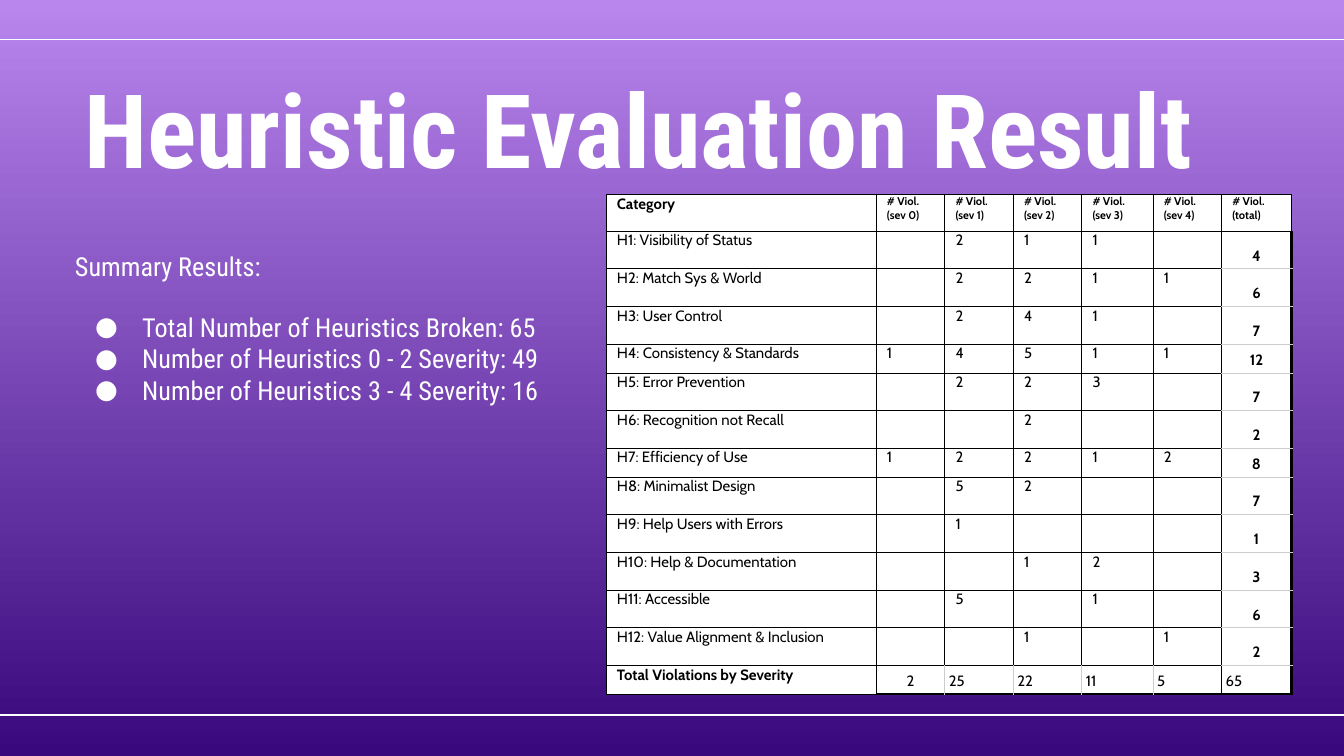
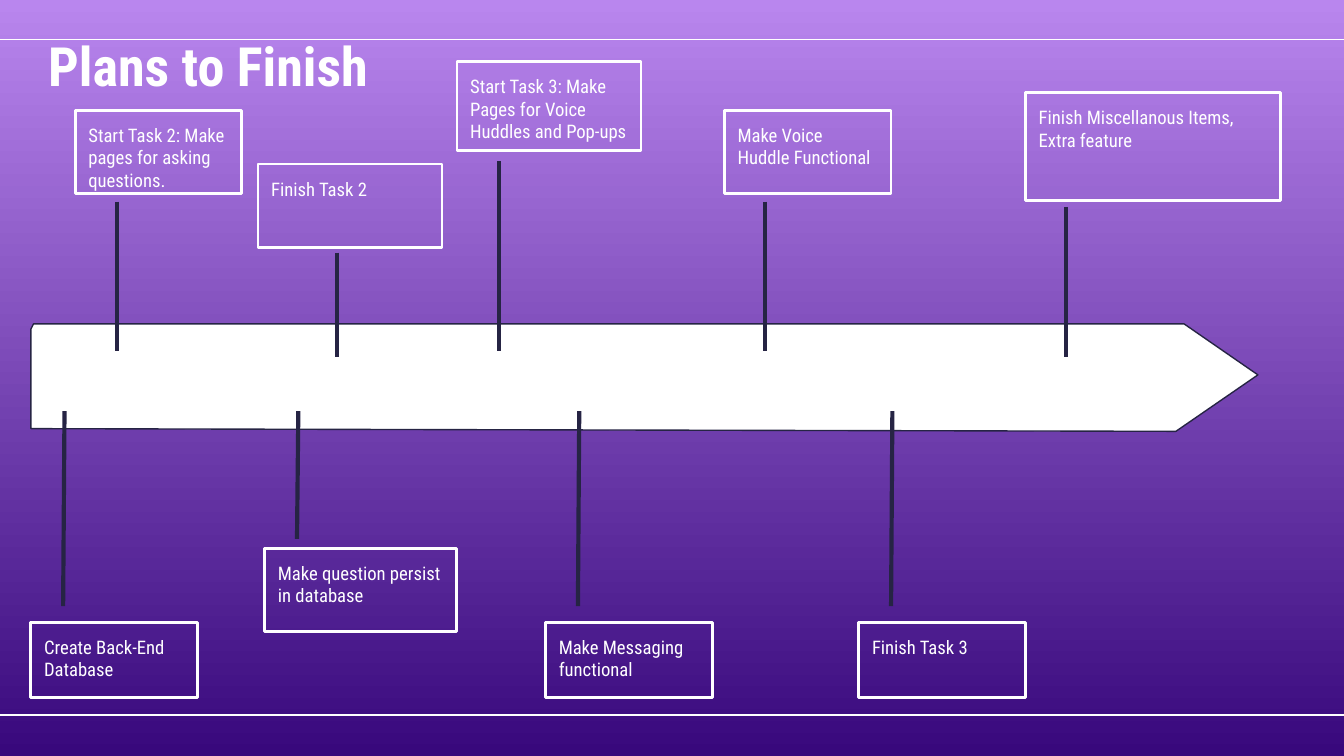
from dataclasses import dataclass

from lxml import etree
from pptx import Presentation
from pptx.dml.color import RGBColor
from pptx.enum.shapes import MSO_CONNECTOR, MSO_SHAPE
from pptx.enum.text import MSO_ANCHOR, PP_ALIGN
from pptx.oxml.ns import qn
from pptx.util import Emu, Inches, Pt

STRAIGHT = MSO_CONNECTOR.STRAIGHT
RECTANGLE = MSO_SHAPE.RECTANGLE
TOP, BOTTOM = MSO_ANCHOR.TOP, MSO_ANCHOR.BOTTOM
LEFT, CENTER = PP_ALIGN.LEFT, PP_ALIGN.CENTER

COLUMNS, ROWS = 100, 56.25
CELL = Inches(0.1)


@dataclass(frozen=True)
class Theme:
    sky: str = "B986EE"
    night: str = "38087C"
    white: str = "FFFFFF"
    black: str = "000000"
    grey: str = "CCCCCC"
    ink: str = "262444"
    display: str = "Roboto Condensed"
    tabular: str = "Cabin"
    headline: int = 55
    heading: int = 29
    body: int = 14
    label: int = 10
    cell: int = 8
    small: int = 6
    hairline: float = 0.5
    rule: float = 0.75
    thick: float = 1.5
    stem: float = 2.25


THEME = Theme()


@dataclass(frozen=True)
class Box:
    left: float
    top: float
    width: float
    height: float

    def inner(self, left, top, width, height):
        return Box(self.left + left, self.top + top, width, height)

    def point(self, across, down):
        return units(self.left + across), units(self.top + down)

    def frame(self):
        return [units(side) for side in (self.left, self.top, self.width, self.height)]


@dataclass(frozen=True)
class Milestone:
    text: str
    left: float
    top: float
    width: float
    height: float
    stem: float
    gap: float
    tip: float


PAGE = Box(0, 0, COLUMNS, ROWS)

SUMMARY = [
    "Total Number of Heuristics Broken: 65",
    "Number of Heuristics 0 - 2 Severity: 49",
    "Number of Heuristics 3 - 4 Severity: 16",
]

COLUMN_WIDTHS = [20.1, 5.1, 5.1, 5.1, 5.3, 5.1, 5.2]
HEADER_HEIGHT, TALL_ROW, SHORT_ROW = 2.7, 2.81, 2.12
HEADERS = ["Category"] + [f"# Viol.\n(sev {level})" for level in range(5)] + ["# Viol. (total)"]
VIOLATIONS = [
    ["H1: Visibility of Status", "", "2", "1", "1", "", "4"],
    ["H2: Match Sys & World", "", "2", "2", "1", "1", "6"],
    ["H3: User Control", "", "2", "4", "1", "", "7"],
    ["H4: Consistency & Standards", "1", "4", "5", "1", "1", "12"],
    ["H5: Error Prevention", "", "2", "2", "3", "", "7"],
    ["H6: Recognition not Recall", "", "", "2", "", "", "2"],
    ["H7: Efficiency of Use", "1", "2", "2", "1", "2", "8"],
    ["H8: Minimalist Design", "", "5", "2", "", "", "7"],
    ["H9: Help Users with Errors", "", "1", "", "", "", "1"],
    ["H10: Help & Documentation", "", "", "1", "2", "", "3"],
    ["H11: Accessible", "", "5", "", "1", "", "6"],
    ["H12: Value Alignment & Inclusion", "", "", "1", "", "1", "2"],
    ["Total Violations by Severity", "2", "25", "22", "11", "5", "65"],
]

ARROW = [(0, 1.2), (0, 7.8), (85.2, 8), (91.3, 3.8), (85.8, 0), (0.2, 0), (0, 0.4)]
STEM_LEAN = 0.1
MILESTONES_ABOVE = [
    Milestone("Start Task 2: Make pages for asking questions.", 3.3, 3.6, 12.4, 6.2, 3.1, 0.6, 21.5),
    Milestone("Start Task 3: Make Pages for Voice Huddles and Pop-ups", 31.7, 0, 13.7, 6.6, 3.1, 0.8, 21.5),
    Milestone("Make Voice Huddle Functional", 51.6, 3.6, 12.4, 6.2, 3, 0.6, 21.5),
    Milestone("Finish Task 2", 16.9, 7.6, 13.7, 6.2, 5.9, 0.4, 22),
    Milestone("Finish Miscellanous Items, Extra feature", 74, 2.3, 19, 8, 3, 0.5, 22),
]
MILESTONES_BELOW = [
    Milestone("Create Back-End Database", 0, 41.7, 12.4, 5.6, 2.4, 1.2, 26),
    Milestone("Make question persist in database", 17.4, 36.2, 14.3, 6.2, 2.4, 0.7, 26),
    Milestone("Make Messaging functional", 38.3, 41.7, 12.4, 5.6, 2.4, 1.2, 26),
    Milestone("Finish Task 3", 61.6, 41.7, 12.4, 5.6, 2.4, 1.2, 26),
]


def units(amount):
    return Emu(round(amount * CELL))


def color(code):
    return RGBColor.from_string(code)


def add_span(para, text, size, bold=False, font=THEME.display, ink=THEME.white):
    span = para.add_run()
    span.text = text
    span.font.name = font
    span.font.size = Pt(size)
    span.font.bold = bold
    span.font.color.rgb = color(ink)


def prepare_frame(frame, anchor=TOP):
    frame.word_wrap = True
    frame.vertical_anchor = anchor
    frame.margin_left = frame.margin_right = units(1)
    frame.margin_top = frame.margin_bottom = units(1)
    return frame


def add_text_box(page, box, anchor=TOP):
    return prepare_frame(page.shapes.add_textbox(*box.frame()).text_frame, anchor)


def add_line(page, start, end, ink, weight):
    line = page.shapes.add_connector(STRAIGHT, *start, *end)
    line.line.color.rgb = color(ink)
    line.line.width = Pt(weight)
    etree.SubElement(line._element.spPr, qn("a:effectLst"))


def add_page(deck):
    page = deck.slides.add_slide(deck.slide_layouts[6])
    fill = page.background.fill
    fill.gradient()
    fill.gradient_angle = 270
    for stop, code in zip(fill.gradient_stops, (THEME.sky, THEME.night)):
        stop.color.rgb = color(code)
    for height in (53.2, 2.95):
        add_line(page, PAGE.point(COLUMNS, height), PAGE.point(0, height), THEME.white, THEME.rule)
    return page


def add_title(page, box, text, size):
    frame = add_text_box(page, box, BOTTOM)
    add_span(frame.paragraphs[0], text, size, bold=True)


def add_summary(page, box):
    frame = add_text_box(page, box)
    add_span(frame.paragraphs[0], "Summary Results:", THEME.body)
    for index, text in enumerate(SUMMARY):
        para = frame.add_paragraph()
        para.space_before = Pt(0 if index else 16)
        properties = para._p.get_or_add_pPr()
        properties.set("marL", str(units(5)))
        properties.set("indent", str(units(-3.5)))
        tint = etree.SubElement(properties, qn("a:buClr"))
        etree.SubElement(tint, qn("a:srgbClr"), val=THEME.white)
        etree.SubElement(properties, qn("a:buFont"), typeface=THEME.display)
        etree.SubElement(properties, qn("a:buChar"), char="●")
        add_span(para, text, THEME.body)


def set_borders(cell, borders):
    properties = cell._tc.get_or_add_tcPr()
    for index, side in enumerate("LRTB"):
        code, weight = borders[side]
        line = etree.Element(qn(f"a:ln{side}"), w=str(Pt(weight)))
        fill = etree.SubElement(line, qn("a:solidFill"))
        etree.SubElement(fill, qn("a:srgbClr"), val=code)
        properties.insert(index, line)


def cell_borders(row, column, last_row, last_column):
    dark, pale = (THEME.black, THEME.hairline), (THEME.grey, THEME.hairline)
    heavy = (THEME.black, THEME.thick)
    borders = dict.fromkeys("LRTB", dark)
    if column == last_column and row > 0:
        borders.update(R=heavy, T=dark if row == 1 else pale, B=pale)
    if row == last_row and column > 0:
        borders["B"] = heavy
        if 1 < column < last_column:
            borders["L"] = pale
        if column < last_column - 1:
            borders["R"] = pale
    return borders


def fill_cell(cell, text, size, bold, is_sum, centered):
    cell.fill.solid()
    cell.fill.fore_color.rgb = color(THEME.white)
    cell.margin_left = cell.margin_right = units(0.3 if is_sum else 0.8)
    cell.margin_top = cell.margin_bottom = units(0.3 if is_sum else 0)
    cell.vertical_anchor = BOTTOM if is_sum else TOP
    frame = cell.text_frame
    for index, line in enumerate(text.split("\n")):
        para = frame.add_paragraph() if index else frame.paragraphs[0]
        para.alignment = CENTER if centered else LEFT
        if is_sum:
            para.line_spacing = 1.15
        if line:
            add_span(para, line, size, bold, THEME.tabular, THEME.black)
        else:
            etree.SubElement(para._p, qn("a:endParaRPr"), sz=str(size * 100))


def add_violations(page, box):
    rows = [HEADERS] + VIOLATIONS
    last_row, last_column = len(rows) - 1, len(HEADERS) - 1
    table = page.shapes.add_table(len(rows), len(HEADERS), *box.frame()).table
    table.first_row = table.horz_banding = False
    for column, width in zip(table.columns, COLUMN_WIDTHS):
        column.width = units(width)
    for row, texts in enumerate(rows):
        height = TALL_ROW if "" in texts else SHORT_ROW
        table.rows[row].height = units(height if row else HEADER_HEIGHT)
        for column, text in enumerate(texts):
            in_total_row = row == last_row and column > 0
            in_total_column = column == last_column and 0 < row < last_row
            is_sum = in_total_row or in_total_column
            size = THEME.small if row == 0 and column else THEME.cell
            bold = row == 0 or in_total_column or (row == last_row and column == 0)
            centered = in_total_column or (in_total_row and column == 1)
            cell = table.cell(row, column)
            fill_cell(cell, text, size, bold, is_sum, centered)
            set_borders(cell, cell_borders(row, column, last_row, last_column))


def add_arrow(page, box):
    points = [box.point(*corner) for corner in ARROW]
    builder = page.shapes.build_freeform(*points[0], scale=1.0)
    builder.add_line_segments(points[1:], close=True)
    arrow = builder.convert_to_shape()
    arrow.shadow.inherit = False
    arrow.fill.solid()
    arrow.fill.fore_color.rgb = color(THEME.white)
    arrow.line.color.rgb = color(THEME.ink)
    arrow.line.width = Pt(THEME.rule)


def add_milestone(page, box, item, above):
    across = item.left + item.stem
    if above:
        foot = box.point(across, item.top + item.height + item.gap)
        tip = box.point(across, item.tip)
    else:
        foot = box.point(across, item.top - item.gap)
        tip = box.point(across + STEM_LEAN, item.tip)
    add_line(page, foot, tip, THEME.ink, THEME.stem)
    card_box = box.inner(item.left, item.top, item.width, item.height)
    card = page.shapes.add_shape(RECTANGLE, *card_box.frame())
    card.shadow.inherit = False
    card.fill.background()
    card.line.color.rgb = color(THEME.white)
    card.line.width = Pt(THEME.thick)
    para = prepare_frame(card.text_frame).paragraphs[0]
    para.alignment = LEFT
    add_span(para, item.text, THEME.label)


def add_timeline(page, box):
    add_arrow(page, box.inner(0, 19.5, 91.3, 8))
    for items, above in ((MILESTONES_ABOVE, True), (MILESTONES_BELOW, False)):
        for item in items:
            add_milestone(page, box, item, above)


def build_results(deck):
    page = add_page(deck)
    add_title(page, PAGE.inner(5.3, 4.8, 88.8, 10.3), "Heuristic Evaluation Result", THEME.headline)
    add_violations(page, PAGE.inner(45.1, 14.5, 51, 37.1))
    add_summary(page, PAGE.inner(4.6, 17.6, 36.7, 15.1))


def build_plans(deck):
    page = add_page(deck)
    add_title(page, PAGE.inner(2.6, 0.25, 75.1, 8), "Plans to Finish", THEME.heading)
    add_timeline(page, PAGE.inner(2.3, 4.6, 93, 47.3))


def main():
    deck = Presentation()
    deck.slide_width, deck.slide_height = units(COLUMNS), units(ROWS)
    build_results(deck)
    build_plans(deck)
    deck.save("out.pptx")


if __name__ == "__main__":
    main()
